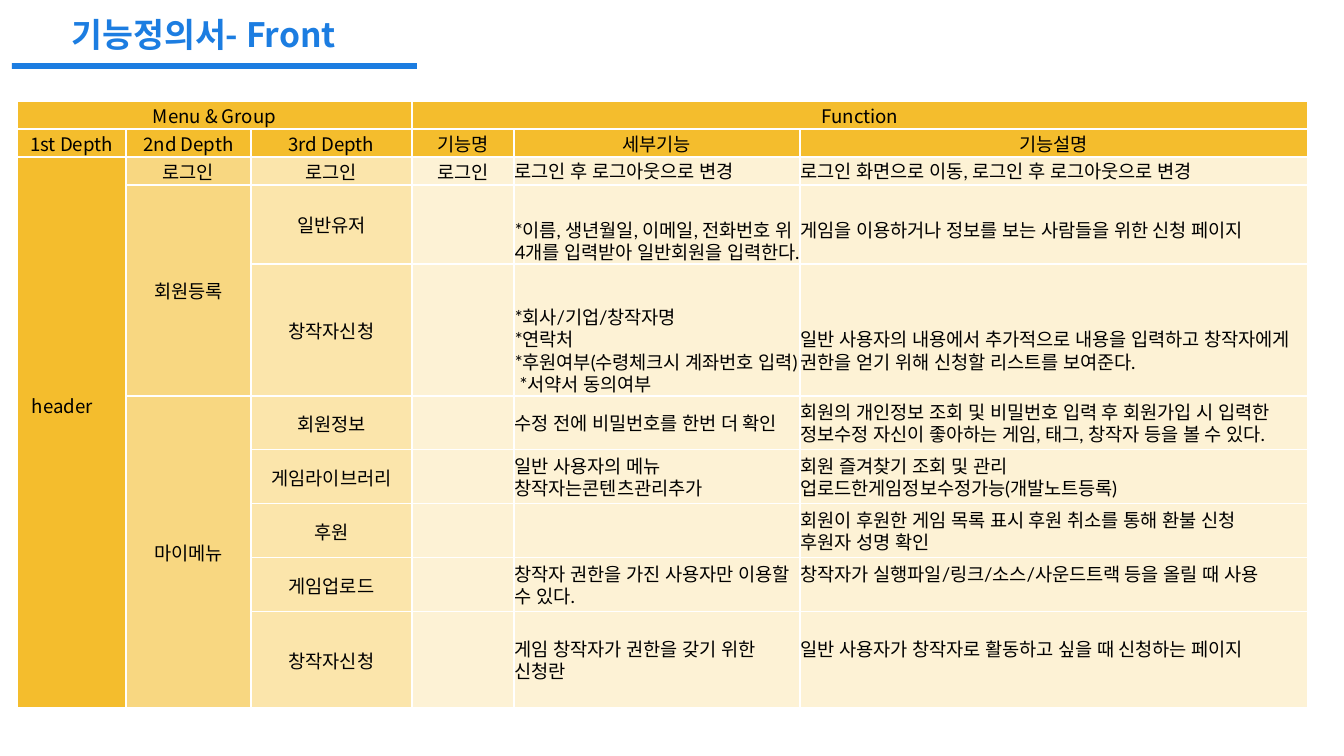
from lxml.etree import SubElement
from pptx import Presentation
from pptx.dml.color import RGBColor
from pptx.enum.shapes import MSO_SHAPE
from pptx.enum.text import MSO_ANCHOR as ANCHOR, PP_ALIGN as ALIGN
from pptx.oxml import parse_xml
from pptx.oxml.ns import nsdecls, qn
from pptx.util import Pt

EMU_PER_PX = 914400 / 134.4
COLORS = {
    "blue": "1C7DE1",
    "gold": "F4BD2D",
    "amber": "F8D781",
    "sand": "FBE5AB",
    "cream": "FDF2D5",
    "text": "000000",
    "border": "FFFFFF",
}
LABEL_FONT = "Noto Sans CJK JP"
DETAIL_FONT = "Lato"

HEADER_ROWS = 2
DETAIL_COLUMN = 4
COLUMN_FILLS = ["gold", "amber", "sand", "cream", "cream", "cream"]
COLUMN_WIDTHS = [109, 125, 161, 102, 286, 508]
ROW_HEIGHTS = [27, 27, 28, 79, 132, 54, 54, 54, 54, 96]
BOTTOM_ROWS = (3, 4)
# first row, first column, last row, last column
MERGES = [(0, 0, 0, 2), (0, 3, 0, 5), (2, 0, 9, 0), (3, 1, 4, 1), (5, 1, 9, 1)]
# \v breaks a line, \n starts a paragraph
ROWS = [
    ["Menu & Group", "", "", "Function", "", ""],
    ["1st Depth", "2nd Depth", "3rd Depth", "기능명", "세부기능", "기능설명"],
    ["header\u3000\n\u3000\n\u3000", "로그인", "로그인", "로그인",
     "로그인 후 로그아웃으로 변경",
     "로그인 화면으로 이동, 로그인 후 로그아웃으로 변경"],
    ["", "회원등록", "일반유저", "",
     "*이름, 생년월일, 이메일, 전화번호 위 4개를 입력받아 일반회원을 입력한다.",
     "게임을 이용하거나 정보를 보는 사람들을 위한 신청 페이지\v"],
    ["", "", "창작자신청", "",
     "*회사/기업/창작자명 \v*연락처 \v*후원여부(수령체크시 계좌번호 입력)\v *서약서 동의여부",
     "일반 사용자의 내용에서 추가적으로 내용을 입력하고 창작자에게 "
     "권한을 얻기 위해 신청할 리스트를 보여준다. \v"],
    ["", "마이메뉴", "회원정보", "", "수정 전에 비밀번호를 한번 더 확인",
     "회원의 개인정보 조회 및 비밀번호 입력 후 회원가입 시 입력한 "
     "정보수정 자신이 좋아하는 게임, 태그, 창작자 등을 볼 수 있다."],
    ["", "", "게임라이브러리", "", "일반 사용자의 메뉴\v창작자는콘텐츠관리추가",
     "회원 즐겨찾기 조회 및 관리\v업로드한게임정보수정가능(개발노트등록)"],
    ["", "", "후원", "", "",
     "회원이 후원한 게임 목록 표시 후원 취소를 통해 환불 신청 \v후원자 성명 확인"],
    ["", "", "게임업로드", "", "창작자 권한을 가진 사용자만 이용할 수 있다.",
     "창작자가 실행파일/링크/소스/사운드트랙 등을 올릴 때 사용\v"],
    ["", "", "창작자신청", "", "게임 창작자가 권한을 갖기 위한 \v신청란",
     "일반 사용자가 창작자로 활동하고 싶을 때 신청하는 페이지\v"],
]


def px(length):
    return round(length * EMU_PER_PX)


def rgb(name):
    return RGBColor.from_string(COLORS[name])


def format_paragraph(paragraph, font_name, size, color, align, bold=False):
    paragraph.alignment = align
    font = paragraph.font
    font.name, font.size, font.bold = font_name, Pt(size), bold
    font.color.rgb = rgb(color)
    # Korean glyphs take the East Asian typeface
    properties = paragraph._p.pPr.find(qn("a:defRPr"))
    SubElement(properties, qn("a:ea")).set("typeface", font_name)


def add_borders(cell):
    properties = cell._tc.get_or_add_tcPr()
    for side in ("lnL", "lnR", "lnT", "lnB"):
        properties.append(parse_xml(
            f'<a:{side} {nsdecls("a")} w="{Pt(1)}"><a:solidFill>'
            f'<a:srgbClr val="{COLORS["border"]}"/></a:solidFill></a:{side}>'))


def add_heading(slide, left, top, width):
    """Place the title with the blue bar under it."""
    bar = slide.shapes.add_shape(MSO_SHAPE.RECTANGLE, px(left), px(top + 56),
                                 px(width), px(6))
    bar.shadow.inherit = False
    bar.fill.solid()
    bar.fill.fore_color.rgb = rgb("blue")
    bar.line.fill.background()

    title = slide.shapes.title
    title.left, title.top = px(left + 46), px(top)
    title.width, title.height = px(387), px(54)
    frame = title.text_frame
    frame.text = "기능정의서- Front"
    frame.word_wrap = True
    frame.vertical_anchor = ANCHOR.MIDDLE
    format_paragraph(frame.paragraphs[0], LABEL_FONT, 18, "blue", ALIGN.LEFT, True)


def fill_cell(cell, row, column, text):
    is_header = row < HEADER_ROWS
    is_detail = not is_header and column >= DETAIL_COLUMN
    cell.margin_left = cell.margin_right = cell.margin_top = px(1)
    cell.margin_bottom = 0
    at_bottom = is_detail and row in BOTTOM_ROWS
    cell.vertical_anchor = ANCHOR.BOTTOM if at_bottom else ANCHOR.MIDDLE
    add_borders(cell)
    cell.fill.solid()
    cell.fill.fore_color.rgb = rgb("gold" if is_header else COLUMN_FILLS[column])
    cell.text = text
    for paragraph in cell.text_frame.paragraphs:
        format_paragraph(paragraph, DETAIL_FONT if is_detail else LABEL_FONT, 10,
                         "text", ALIGN.LEFT if is_detail else ALIGN.CENTER)


def add_function_table(slide, left, top):
    table = slide.shapes.add_table(
        len(ROWS), len(COLUMN_WIDTHS), px(left), px(top),
        px(sum(COLUMN_WIDTHS)), px(sum(ROW_HEIGHTS))).table
    table.horz_banding = False
    table.first_row = False
    for column, width in zip(table.columns, COLUMN_WIDTHS):
        column.width = px(width)
    for row, height in zip(table.rows, ROW_HEIGHTS):
        row.height = px(height)
    for row, texts in enumerate(ROWS):
        for column, text in enumerate(texts):
            fill_cell(table.cell(row, column), row, column, text)
    for first_row, first_column, last_row, last_column in MERGES:
        table.cell(first_row, first_column).merge(table.cell(last_row, last_column))


def main():
    presentation = Presentation()
    presentation.slide_width, presentation.slide_height = px(1344), px(756)
    slide = presentation.slides.add_slide(presentation.slide_layouts[5])
    add_function_table(slide, 17, 101)
    add_heading(slide, 12, 7, 405)
    presentation.save("out.pptx")


if __name__ == "__main__":
    main()
